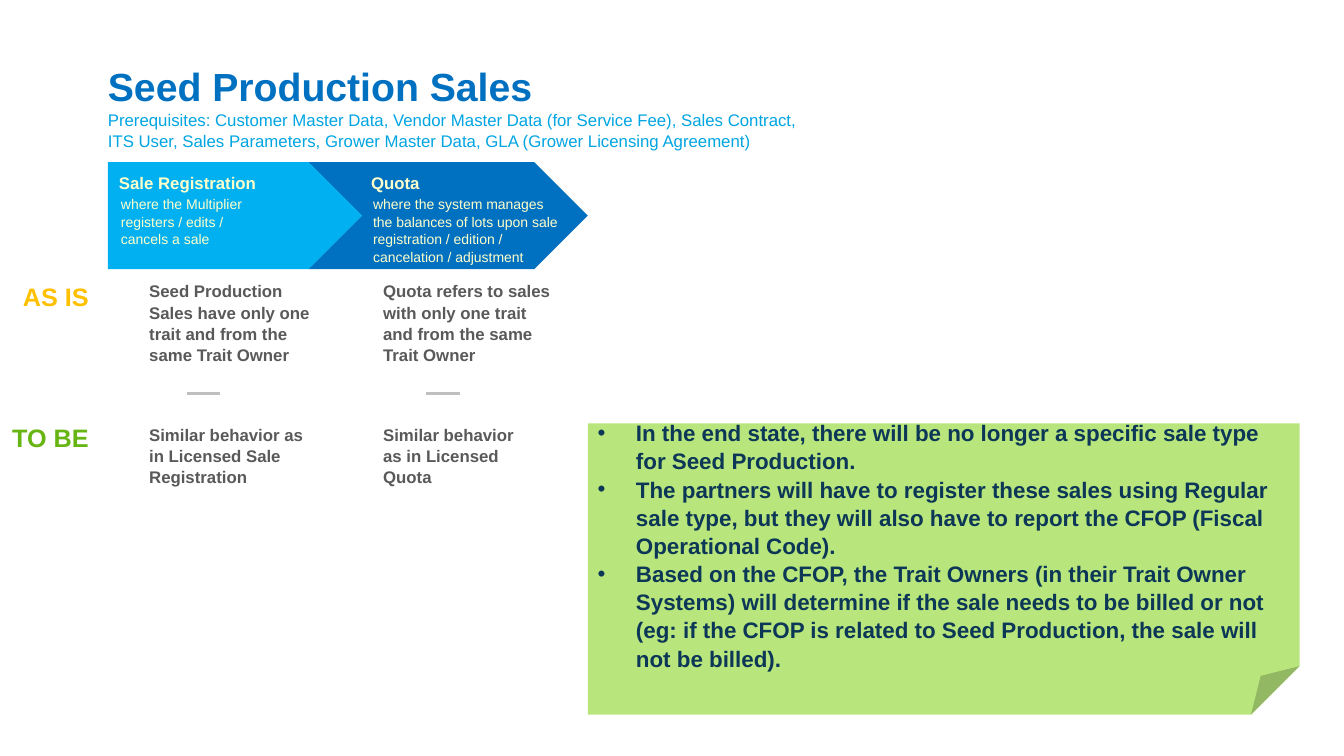
from lxml import etree
from pptx import Presentation
from pptx import util as u
from pptx.dml.color import RGBColor
from pptx.enum import shapes, text
from pptx.oxml.ns import qn

BLUE = RGBColor(0x00, 0x70, 0xC0)
LIGHT_BLUE = RGBColor(0x00, 0xB0, 0xF0)
SUBTITLE_BLUE = RGBColor(0x00, 0xA5, 0xE2)
CREAM = RGBColor(0xFF, 0xFF, 0xCC)
GREY = RGBColor(0x59, 0x59, 0x59)
RULE_GREY = RGBColor(0xBF, 0xBF, 0xBF)
AMBER = RGBColor(0xFF, 0xC0, 0x00)
GREEN = RGBColor(0x66, 0xB5, 0x12)
NOTE_GREEN = RGBColor(0xB8, 0xE6, 0x7D)
NAVY = RGBColor(0x0D, 0x37, 0x56)

LEFT = 1.07
STEP_TOP, STEP_H = 1.61, 1.06
AS_IS_TOP, RULE_TOP, TO_BE_TOP = 2.78, 3.9, 4.2


def format_paragraph(p, words, size, color, bold=False,
                     align=text.PP_ALIGN.LEFT, spacing=1.05):
    p.alignment = align
    p.line_spacing = spacing
    r = p.add_run()
    r.text = words
    r.font.name = "Arial"
    r.font.size = u.Pt(size)
    r.font.bold = bold
    r.font.color.rgb = color


def add_text(s, box, words, anchor=text.MSO_ANCHOR.TOP, **fmt):
    tf = s.shapes.add_textbox(*map(u.Inches, box)).text_frame
    tf.word_wrap = True
    tf.vertical_anchor = anchor
    tf.margin_left = tf.margin_top = tf.margin_right = tf.margin_bottom = 0
    format_paragraph(tf.paragraphs[0], words, **fmt)


def add_block(s, kind, box, fill):
    sp = s.shapes.add_shape(kind, *map(u.Inches, box))
    sp.shadow.inherit = False
    sp.fill.solid()
    sp.fill.fore_color.rgb = fill
    sp.line.fill.background()
    return sp


def add_heading(s, x, y, w):
    add_text(s, (x, y, w, 0.94), "Seed Production Sales",
             anchor=text.MSO_ANCHOR.BOTTOM, size=28, color=BLUE, bold=True,
             spacing=1)
    add_text(s, (x, y + 0.92, 7.12, 0.28),
             "Prerequisites: Customer Master Data, Vendor Master Data "
             "(for Service Fee), Sales Contract, ITS User, Sales Parameters, "
             "Grower Master Data, GLA (Grower Licensing Agreement)",
             size=12, color=SUBTITLE_BLUE, spacing=1.08)


def add_step(s, kind, box, fill, text_x, name, detail, detail_w):
    add_block(s, kind, box, fill)
    top = box[1]
    add_text(s, (text_x, top + 0.09, 1.85, 0.28), name,
             size=12, color=CREAM, bold=True)
    add_text(s, (text_x + 0.02, top + 0.32, detail_w, 0.28), detail,
             size=10, color=CREAM)


def add_comparison(s, x, rule_x, as_is, to_be, to_be_w):
    body = dict(size=12, color=GREY, bold=True)
    add_text(s, (x, AS_IS_TOP, 1.69, 0.55), as_is, **body)
    add_text(s, (x, TO_BE_TOP, to_be_w, 0.55), to_be, **body)
    ends = (rule_x, RULE_TOP, rule_x + 0.33, RULE_TOP)
    rule = s.shapes.add_connector(shapes.MSO_CONNECTOR.STRAIGHT,
                                  *map(u.Inches, ends))
    rule.line.color.rgb = RULE_GREY
    rule.line.width = u.Pt(2.25)
    etree.SubElement(rule._element.spPr, qn("a:effectLst"))


def add_note(s, box, points):
    sp = add_block(s, shapes.MSO_SHAPE.FOLDED_CORNER, box, NOTE_GREEN)
    tf = sp.text_frame
    tf.word_wrap = True
    tf.vertical_anchor = text.MSO_ANCHOR.MIDDLE
    for i, point in enumerate(points):
        p = tf.add_paragraph() if i else tf.paragraphs[0]
        pPr = p._p.get_or_add_pPr()
        pPr.set("marL", str(u.Inches(0.38)))
        pPr.set("indent", str(u.Inches(-0.38)))
        etree.SubElement(pPr, qn("a:buFont")).set("typeface", "Arial")
        etree.SubElement(pPr, qn("a:buChar")).set("char", "•")
        format_paragraph(p, point, size=16, color=NAVY, bold=True)


def main():
    prs = Presentation()
    prs.slide_width, prs.slide_height = u.Inches(13.33), u.Inches(7.5)
    s = prs.slides.add_slide(prs.slide_layouts[6])

    add_heading(s, LEFT, 0.15, 11.81)
    add_step(s, shapes.MSO_SHAPE.CHEVRON, (3.06, STEP_TOP, 2.77, STEP_H), BLUE,
             3.68, "Quota",
             "where the system manages the balances of lots upon sale "
             "registration / edition / cancelation / adjustment", 1.85)
    add_step(s, shapes.MSO_SHAPE.PENTAGON, (LEFT, STEP_TOP, 2.52, STEP_H),
             LIGHT_BLUE, 1.18, "Sale Registration",
             "where the Multiplier registers / edits / cancels a sale", 1.29)

    for label, top, color in (("AS IS", AS_IS_TOP, AMBER),
                              ("TO BE", TO_BE_TOP - 0.03, GREEN)):
        add_text(s, (0.03, top, 0.85, 0.28), label, size=18, color=color,
                 bold=True, align=text.PP_ALIGN.RIGHT)

    add_comparison(s, 1.48, 1.85,
                   "Seed Production Sales have only one trait and from the "
                   "same Trait Owner",
                   "Similar behavior as in Licensed Sale Registration", 1.54)
    add_comparison(s, 3.8, 4.23,
                   "Quota refers to sales with only one trait and from the "
                   "same Trait Owner",
                   "Similar behavior as in Licensed Quota", 1.32)

    add_note(s, (5.83, TO_BE_TOP, 7.06, 2.89), (
        "In the end state, there will be no longer a specific sale type for "
        "Seed Production.",
        "The partners will have to register these sales using Regular sale "
        "type, but they will also have to report the CFOP (Fiscal "
        "Operational Code).",
        "Based on the CFOP, the Trait Owners (in their Trait Owner Systems) "
        "will determine if the sale needs to be billed or not (eg: if the "
        "CFOP is related to Seed Production, the sale will not be billed).",
    ))
    prs.save("out.pptx")


if __name__ == "__main__":
    main()
